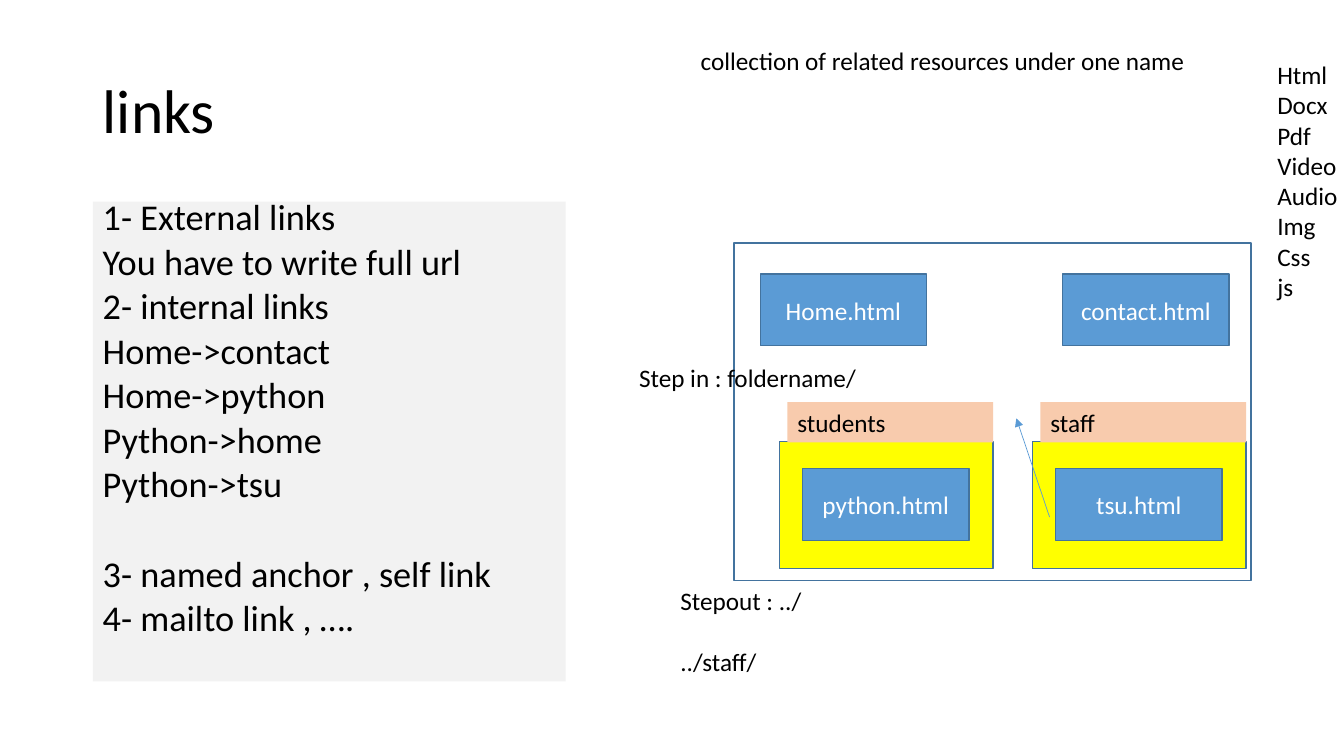
from dataclasses import dataclass

import pptx
import pptx.dml.color
import pptx.enum.shapes
import pptx.enum.text
import pptx.util
from lxml import etree
from pptx.oxml.ns import qn
from pptx.util import Inches

FONT = "Calibri"
BLACK, WHITE, BLUE, DARK_BLUE = "000000", "FFFFFF", "5B9BD5", "43739E"
GREY, YELLOW, PEACH = "F2F2F2", "FFFF00", "F8CBAD"
ALIGN = pptx.enum.text.PP_ALIGN
ANCHOR = pptx.enum.text.MSO_ANCHOR


@dataclass
class Note:
    left: float
    top: float
    width: float
    height: float
    lines: list[str]
    fill: str | None = None
    size: float = 18
    line_spacing: float = 1.0
    space_before: float = 0
    gap_line: int | None = None  # line that opens a new group
    gap: float = 0


@dataclass
class Page:
    left: float
    top: float
    name: str


@dataclass
class Folder:
    left: float
    name: str
    page: str


def rgb(colour: str) -> pptx.dml.color.RGBColor:
    return pptx.dml.color.RGBColor.from_string(colour)


def style(paragraph, size: float, colour: str) -> None:
    paragraph.font.name = FONT
    paragraph.font.size = pptx.util.Pt(size)
    paragraph.font.color.rgb = rgb(colour)


def add_note(slide, note: Note) -> None:
    box = slide.shapes.add_textbox(
        Inches(note.left), Inches(note.top), Inches(note.width), Inches(note.height))
    if note.fill:
        box.fill.solid()
        box.fill.fore_color.rgb = rgb(note.fill)
    frame = box.text_frame
    frame.word_wrap = True
    frame.text = "\n".join(note.lines)
    for index, paragraph in enumerate(frame.paragraphs):
        style(paragraph, note.size, BLACK)
        paragraph.line_spacing = note.line_spacing
        before = note.gap if index == note.gap_line else note.space_before
        paragraph.space_before = pptx.util.Pt(before)


def add_box(slide, left: float, top: float, width: float, height: float,
            fill: str | None, text: str = "") -> None:
    box = slide.shapes.add_shape(
        pptx.enum.shapes.MSO_SHAPE.RECTANGLE,
        Inches(left), Inches(top), Inches(width), Inches(height))
    box.shadow.inherit = False
    box.line.color.rgb = rgb(DARK_BLUE)
    box.line.width = pptx.util.Pt(1)
    if fill:
        box.fill.solid()
        box.fill.fore_color.rgb = rgb(fill)
    else:
        box.fill.background()
    if text:
        frame = box.text_frame
        frame.text = text
        frame.vertical_anchor = ANCHOR.MIDDLE
        frame.paragraphs[0].alignment = ALIGN.CENTER
        style(frame.paragraphs[0], 18, WHITE)


def add_page(slide, page: Page) -> None:
    add_box(slide, page.left, page.top, 1.65, 0.71, BLUE, page.name)


def add_folder(slide, folder: Folder) -> None:
    add_box(slide, folder.left, 4.38, 2.12, 1.26, YELLOW)
    add_page(slide, Page(folder.left + 0.23, 4.65, folder.page))
    add_note(slide, Note(folder.left + 0.08, 3.99, 2.04, 0.4, [folder.name], PEACH))


def add_arrow(slide, start: tuple[float, float], end: tuple[float, float]) -> None:
    arrow = slide.shapes.add_connector(
        pptx.enum.shapes.MSO_CONNECTOR.STRAIGHT, *map(Inches, start + end))
    arrow.line.color.rgb = rgb(BLUE)
    arrow.line.width = pptx.util.Pt(0.5)
    etree.SubElement(arrow.line._get_or_add_ln(), qn("a:tailEnd"), type="triangle")
    etree.SubElement(arrow._element.spPr, qn("a:effectLst"))


LINK_KINDS = Note(
    0.92, 2, 4.69, 4.76,
    ["1- External links", "You have to write full url", "2- internal links",
     "Home->contact", "Home->python", "Python->home", "Python->tsu",
     "3- named anchor , self link", "4- mailto link , …."],
    GREY, size=25.9, line_spacing=0.7, space_before=10, gap_line=7, gap=42)
SITE_NOTES = [
    Note(6.85, 0.4, 6.12, 0.71, ["collection of related resources under one name"]),
    Note(12.57, 0.54, 2.76, 2.52,
         ["Html", "Docx", "Pdf", "Video", "Audio", "Img", "Css", "js"]),
]
PATH_NOTES = [
    Note(6.24, 3.55, 3.28, 0.4, ["Step in : foldername/"]),
    Note(6.65, 5.76, 2.36, 1.01, ["Stepout : ../", "../staff/"], gap_line=1, gap=22),
]
ROOT_PAGES = [Page(7.54, 2.72, "Home.html"), Page(10.54, 2.72, "contact.html")]
FOLDERS = [Folder(7.73, "students", "python.html"), Folder(10.24, "staff", "tsu.html")]


def main() -> None:
    deck = pptx.Presentation()
    deck.slide_width, deck.slide_height = Inches(13.33), Inches(7.5)
    slide = deck.slides.add_slide(deck.slide_layouts[5])

    # Title
    title = slide.shapes.title
    title.left, title.top = Inches(0.92), Inches(0.4)
    title.width, title.height = Inches(11.5), Inches(1.45)
    title.text_frame.text = "links"
    title.text_frame.vertical_anchor = ANCHOR.MIDDLE
    heading = title.text_frame.paragraphs[0]
    heading.alignment = ALIGN.LEFT
    heading.line_spacing = 0.9
    style(heading, 44, BLACK)

    # Kinds of links
    add_note(slide, LINK_KINDS)

    # Website with its pages and folders
    add_box(slide, 7.28, 2.41, 5.13, 3.35, None)
    for note in SITE_NOTES:
        add_note(slide, note)
    for page in ROOT_PAGES:
        add_page(slide, page)
    for folder in FOLDERS:
        add_folder(slide, folder)

    # Relative paths
    for note in PATH_NOTES:
        add_note(slide, note)
    add_arrow(slide, (10.41, 5.13), (10.08, 4.15))

    deck.save("out.pptx")


if __name__ == "__main__":
    main()
